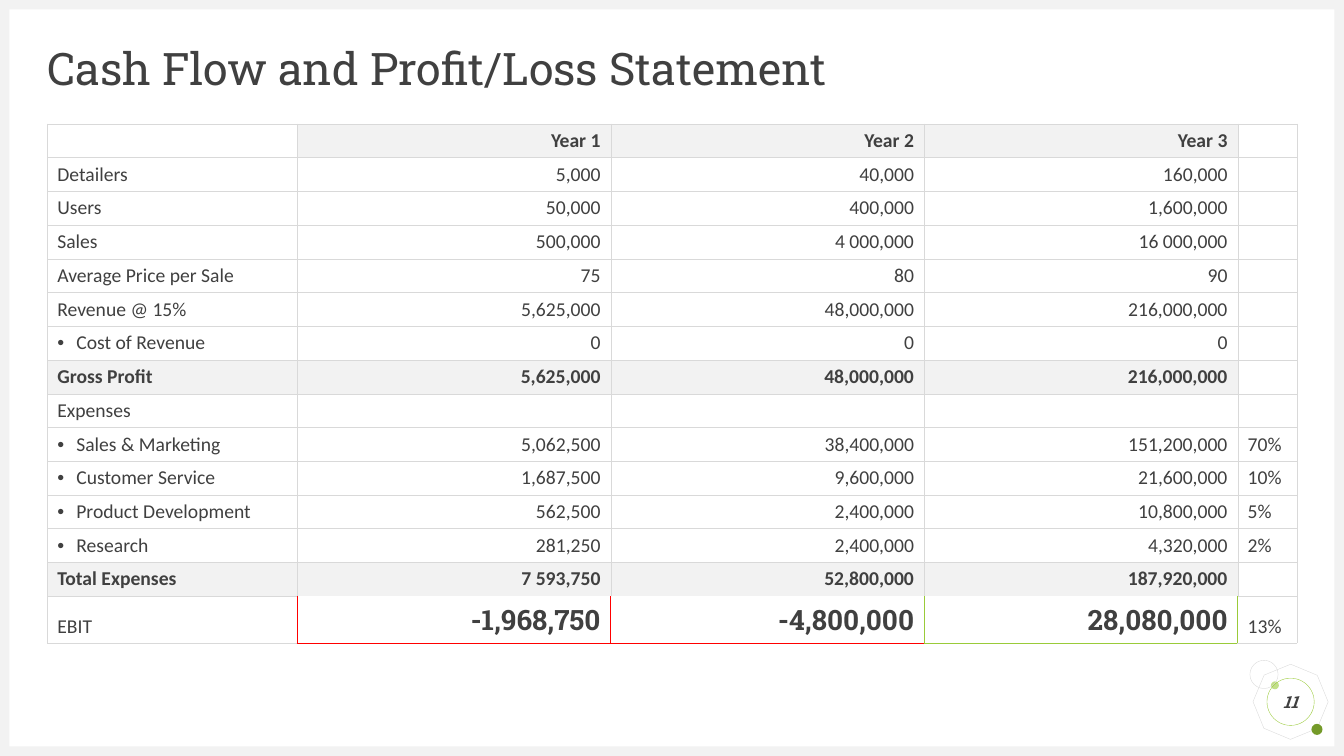
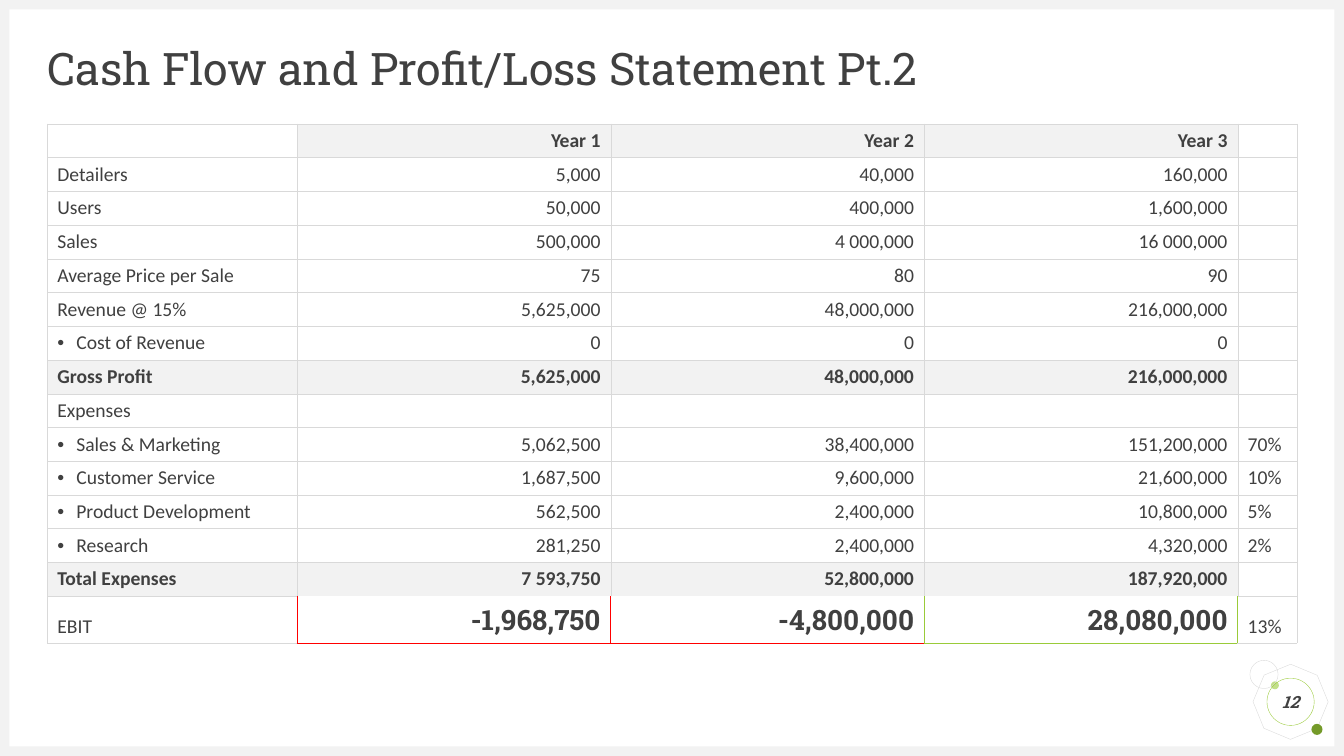
from dataclasses import dataclass
from enum import Enum

from lxml import etree
from pptx import Presentation
from pptx.dml.color import RGBColor
from pptx.enum import shapes, text
from pptx.oxml import ns
from pptx.util import Cm, Pt

COLORS = {
    "ink": "404040",
    "paper": "FFFFFF",
    "band": "F2F2F2",
    "rule": "D9D9D9",
    "loss": "FF0000",
    "profit": "9ACB39",
    "light_dot": "C2E088",
    "dark_dot": "749A29",
}
HEADING_FONT = "Roboto Slab"
BODY_FONT = "Calibri"
BODY_SIZE = 14

PAGE_WIDTH, PAGE_HEIGHT, BAND = 33.87, 19.05, 0.24
MARGIN, CONTENT_WIDTH = 1.19, 31.5
TITLE_TOP, TITLE_HEIGHT = 1.19, 1.19
TABLE_TOP = 3.12
COLUMN_WIDTHS = (6.3, 7.9, 7.9, 7.9, 1.5)
ROW_HEIGHT, RESULT_HEIGHT = 0.85, 1.19
BULLET_INDENT = 0.48
# Colours of the vertical edges of the result row, from left to right
RESULT_EDGES = ("rule", "loss", "loss", "profit", "profit", "rule")


class Kind(Enum):
    HEADER = "header"
    PLAIN = "plain"
    BULLET = "bullet"
    TOTAL = "total"
    RESULT = "result"


@dataclass(frozen=True)
class Row:
    label: str
    years: tuple[str, str, str] = ("", "", "")
    share: str = ""
    kind: Kind = Kind.PLAIN


@dataclass(frozen=True)
class Figure:
    """A preset shape of the frame or the badge; lengths in centimetres."""
    left: float
    top: float
    width: float
    height: float
    preset: shapes.MSO_SHAPE = shapes.MSO_SHAPE.OVAL
    fill: str = ""
    line: str = ""
    rotation: float = 0


RECTANGLE = shapes.MSO_SHAPE.RECTANGLE
FRAME = (
    Figure(31.65, 16.81, 1.75, 1.75, shapes.MSO_SHAPE.OCTAGON, line="rule", rotation=22.7),
    Figure(32.03, 17.17, 0.2, 0.2, fill="light_dot"),
    Figure(33.05, 18.24, 0.28, 0.28, fill="dark_dot"),
    Figure(31.5, 16.64, 0.71, 0.71, line="rule"),
    Figure(0, PAGE_HEIGHT - BAND, PAGE_WIDTH, BAND, RECTANGLE, "band"),
    Figure(0, 0, PAGE_WIDTH, BAND, RECTANGLE, "band"),
    Figure(0, 0, BAND, PAGE_HEIGHT, RECTANGLE, "band"),
    Figure(PAGE_WIDTH - BAND, 0, BAND, PAGE_HEIGHT, RECTANGLE, "band"),
)
NUMBER_RING = Figure(31.93, 17.09, 1.19, 1.19, line="profit")

STATEMENT = (
    Row("", ("Year 1", "Year 2", "Year 3"), kind=Kind.HEADER),
    Row("Detailers", ("5,000", "40,000", "160,000")),
    Row("Users", ("50,000", "400,000", "1,600,000")),
    Row("Sales", ("500,000", "4 000,000", "16 000,000")),
    Row("Average Price per Sale", ("75", "80", "90")),
    Row("Revenue @ 15%", ("5,625,000", "48,000,000", "216,000,000")),
    Row("Cost of Revenue", ("0", "0", "0"), kind=Kind.BULLET),
    Row("Gross Profit", ("5,625,000", "48,000,000", "216,000,000"), kind=Kind.TOTAL),
    Row("Expenses"),
    Row("Sales & Marketing", ("5,062,500", "38,400,000", "151,200,000"), "70%", Kind.BULLET),
    Row("Customer Service", ("1,687,500", "9,600,000", "21,600,000"), "10%", Kind.BULLET),
    Row("Product Development", ("562,500", "2,400,000", "10,800,000"), "5%", Kind.BULLET),
    Row("Research", ("281,250", "2,400,000", "4,320,000"), "2%", Kind.BULLET),
    Row("Total Expenses", ("7 593,750", "52,800,000", "187,920,000"), kind=Kind.TOTAL),
    Row("EBIT", ("-1,968,750", "-4,800,000", "28,080,000"), "13%", Kind.RESULT),
)
PAGES = {
    11: "Cash Flow and Profit/Loss Statement",
    12: "Cash Flow and Profit/Loss Statement Pt.2",
}


def color(name: str) -> RGBColor:
    return RGBColor.from_string(COLORS[name])


def write(frame, words: str, *, font: str = BODY_FONT, size: float = BODY_SIZE,
          bold: bool = False, italic: bool = False, bullet: bool = False,
          align=text.PP_ALIGN.LEFT, spacing: float = 1.0) -> None:
    para = frame.paragraphs[0]
    para.alignment = align
    para.line_spacing = spacing
    if not words:
        end = etree.SubElement(para._p, ns.qn("a:endParaRPr"))
        end.set("sz", str(int(size * 100)))
        return
    if bullet:
        properties = para._p.get_or_add_pPr()
        properties.set("marL", str(Cm(BULLET_INDENT)))
        properties.set("indent", str(-Cm(BULLET_INDENT)))
        etree.SubElement(properties, ns.qn("a:buFont")).set("typeface", "Arial")
        etree.SubElement(properties, ns.qn("a:buChar")).set("char", "•")
    span = para.add_run()
    span.text = words
    span.font.name = font
    span.font.size = Pt(size)
    span.font.bold = bold
    span.font.italic = italic
    span.font.color.rgb = color("ink")


def clear_insets(frame) -> None:
    frame.margin_left = frame.margin_right = frame.margin_top = frame.margin_bottom = 0
    frame.vertical_anchor = text.MSO_ANCHOR.MIDDLE


def draw_figure(page, figure: Figure):
    shape = page.shapes.add_shape(figure.preset, Cm(figure.left), Cm(figure.top),
                                  Cm(figure.width), Cm(figure.height))
    shape.shadow.inherit = False
    shape.rotation = figure.rotation
    if figure.fill:
        shape.fill.solid()
        shape.fill.fore_color.rgb = color(figure.fill)
    else:
        shape.fill.background()
    if figure.line:
        shape.line.color.rgb = color(figure.line)
        shape.line.width = Pt(0.25)
    else:
        shape.line.fill.background()
    return shape


def draw_title(page, title: str) -> None:
    box = page.shapes.add_textbox(Cm(MARGIN), Cm(TITLE_TOP), Cm(CONTENT_WIDTH), Cm(TITLE_HEIGHT))
    box.text_frame.word_wrap = True
    clear_insets(box.text_frame)
    write(box.text_frame, title, font=HEADING_FONT, size=32, spacing=0.9)


def draw_number(page, number: int) -> None:
    ring = draw_figure(page, NUMBER_RING)
    clear_insets(ring.text_frame)
    ring.text_frame.word_wrap = False
    write(ring.text_frame, str(number), font=HEADING_FONT, size=12, bold=True,
          italic=True, align=text.PP_ALIGN.CENTER)


def edge_colors(row: int, column: int) -> dict[str, str]:
    """Colour name of each cell edge; an empty name means no line."""
    edges = dict.fromkeys(("lnL", "lnR", "lnT", "lnB"), "rule")
    is_year = 0 < column < len(COLUMN_WIDTHS) - 1
    result = len(STATEMENT) - 1
    if row == result:
        edges["lnL"], edges["lnR"] = RESULT_EDGES[column:column + 2]
        if is_year:
            edges["lnT"], edges["lnB"] = "", RESULT_EDGES[column]
    elif row == result - 1 and is_year:
        edges["lnB"] = ""
    return edges


def set_borders(cell, edges: dict[str, str]) -> None:
    properties = cell._tc.get_or_add_tcPr()
    for position, (tag, name) in enumerate(edges.items()):
        line = etree.Element(ns.qn(f"a:{tag}"))
        if name:
            line.set("w", str(Pt(0.25 if name == "rule" else 1)))
            fill = etree.SubElement(line, ns.qn("a:solidFill"))
            etree.SubElement(fill, ns.qn("a:srgbClr")).set("val", COLORS[name])
        else:
            etree.SubElement(line, ns.qn("a:noFill"))
        properties.insert(position, line)


def fill_cell(cell, words: str, kind: Kind, column: int) -> None:
    is_label = column == 0
    is_year = 0 < column < len(COLUMN_WIDTHS) - 1
    big = kind is Kind.RESULT and is_year
    shaded = (kind is Kind.HEADER and is_year) or (kind is Kind.TOTAL and (is_label or is_year))
    cell.fill.solid()
    cell.fill.fore_color.rgb = color("band" if shaded else "paper")
    cell.vertical_anchor = text.MSO_ANCHOR.BOTTOM
    write(cell.text_frame, words,
          font=HEADING_FONT if big else BODY_FONT,
          size=20 if big else BODY_SIZE,
          bold=shaded or big,
          bullet=is_label and kind is Kind.BULLET,
          align=text.PP_ALIGN.RIGHT if is_year else text.PP_ALIGN.LEFT)


def draw_statement(page) -> None:
    heights = [RESULT_HEIGHT if row.kind is Kind.RESULT else ROW_HEIGHT for row in STATEMENT]
    table = page.shapes.add_table(len(STATEMENT), len(COLUMN_WIDTHS), Cm(MARGIN), Cm(TABLE_TOP),
                                  Cm(CONTENT_WIDTH), Cm(sum(heights))).table
    table.first_row = table.horz_banding = False
    for column, width in zip(table.columns, COLUMN_WIDTHS):
        column.width = Cm(width)
    for index, (row, height) in enumerate(zip(STATEMENT, heights)):
        table.rows[index].height = Cm(height)
        for column, words in enumerate((row.label, *row.years, row.share)):
            cell = table.cell(index, column)
            fill_cell(cell, words, row.kind, column)
            set_borders(cell, edge_colors(index, column))


def main() -> None:
    deck = Presentation()
    deck.slide_width, deck.slide_height = Cm(PAGE_WIDTH), Cm(PAGE_HEIGHT)
    for number, title in PAGES.items():
        page = deck.slides.add_slide(deck.slide_layouts[6])
        for figure in FRAME:
            draw_figure(page, figure)
        draw_title(page, title)
        draw_statement(page)
        draw_number(page, number)
    deck.save("out.pptx")


if __name__ == "__main__":
    main()
